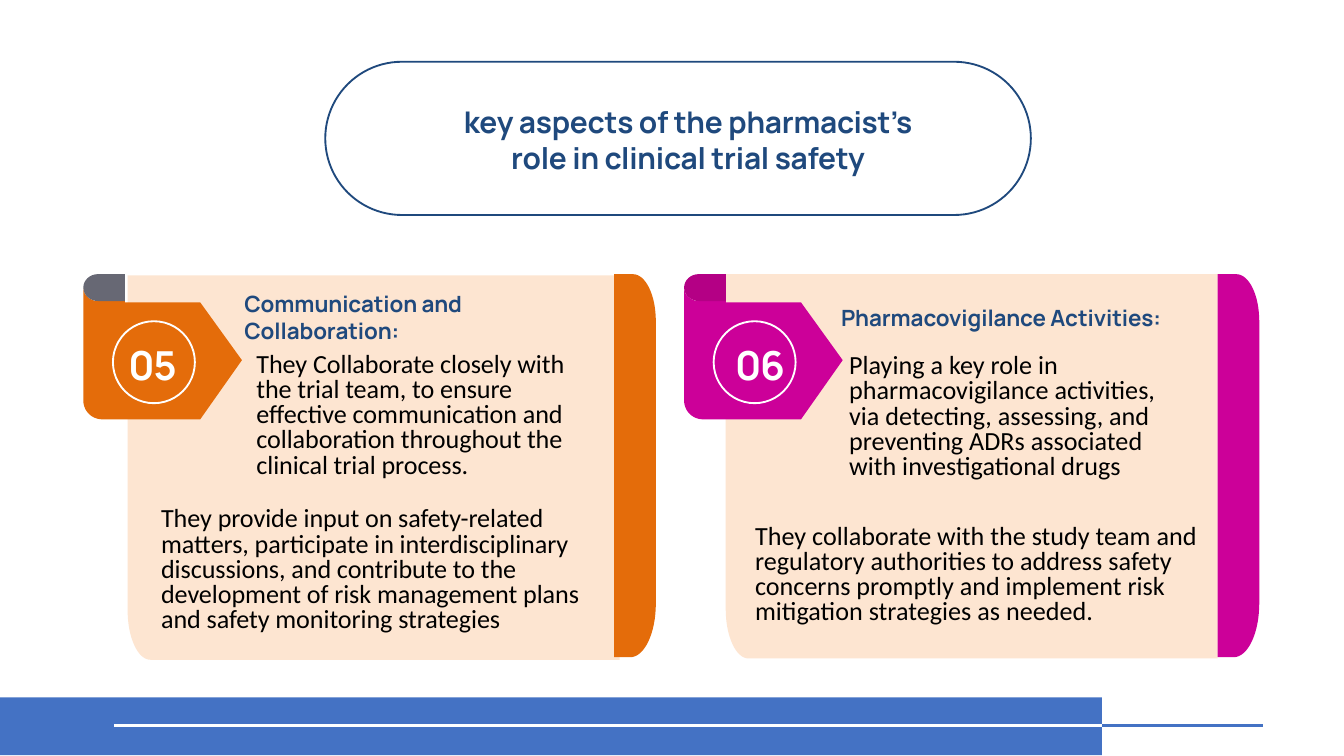
import math

from lxml import etree
from pptx import Presentation
from pptx import util as u
from pptx.dml.color import RGBColor
from pptx.enum import shapes, text
from pptx.oxml.ns import qn

NAVY = "1F497D"
BLUE = "4472C4"
WHITE = "FFFFFF"
PEACH = "FDE5D1"


def color(value):
    return RGBColor.from_string(value)


def paint(shape, fill=None, line=None):
    shape.shadow.inherit = False
    if fill:
        shape.fill.solid()
        shape.fill.fore_color.rgb = color(fill)
    else:
        shape.fill.background()
    if line:
        shape.line.color.rgb = color(line)
        shape.line.width = u.Pt(1)
    else:
        shape.line.fill.background()


def add_preset(slide, kind, box, fill=None, line=None):
    shape = slide.shapes.add_shape(kind, *map(u.Inches, box))
    paint(shape, fill, line)
    return shape


def arc(cx, cy, rx, ry, start, end, steps=16):
    angles = [math.radians(start + (end - start) * i / steps) for i in range(steps + 1)]
    return [(cx + rx * math.cos(a), cy + ry * math.sin(a)) for a in angles]


def add_outline(slide, left, top, points, fill):
    placed = [(u.Inches(left + x), u.Inches(top + y)) for x, y in points]
    builder = slide.shapes.build_freeform(*placed[0])
    builder.add_line_segments(placed[1:], close=True)
    paint(builder.convert_to_shape(), fill)


def add_rule(slide, start, end, y, line):
    rule = slide.shapes.add_connector(
        shapes.MSO_CONNECTOR.STRAIGHT, *map(u.Inches, (start, y, end, y)))
    rule.line.color.rgb = color(line)
    rule.line.width = u.Pt(1.5)
    etree.SubElement(rule._element.spPr, qn("a:effectLst"))


def add_words(slide, box, words, size, ink, font="Manrope", centered=False, tracking=-7):
    frame = slide.shapes.add_textbox(*map(u.Inches, box)).text_frame
    frame.word_wrap = True
    frame.auto_size = text.MSO_AUTO_SIZE.SHAPE_TO_FIT_TEXT
    paragraph = frame.paragraphs[0]
    paragraph.text = words
    paragraph.font.name = font
    paragraph.font.size = u.Pt(size)
    paragraph.font.color.rgb = color(ink)
    paragraph.font._rPr.set("spc", str(tracking))
    if centered:
        paragraph.alignment = text.PP_ALIGN.CENTER
    if font == "Manrope":
        paragraph.font.bold = True
        frame.vertical_anchor = text.MSO_ANCHOR.MIDDLE
    else:
        paragraph.line_spacing = u.Pt(13.5)


def add_footer(slide, left, top, width, height):
    band_width = 8.2
    add_preset(slide, shapes.MSO_SHAPE.RECTANGLE, (left, top, band_width, height), BLUE)
    add_rule(slide, left + 0.85, left + band_width, top + 0.21, WHITE)
    add_rule(slide, left + band_width, left + width - 0.6, top + 0.21, BLUE)


def add_title(slide, left, top, width, height):
    pill = add_preset(slide, shapes.MSO_SHAPE.ROUNDED_RECTANGLE,
                      (left, top, width, height), line=NAVY)
    pill.adjustments[0] = 0.5
    add_words(slide, (left + 0.78, top + 0.26, 3.84, 0.64),
              "key aspects of the pharmacist’s role in clinical trial safety",
              16, NAVY, centered=True, tracking=-10)


def add_card(slide, left, top, card):
    panel_left, panel_top = card["panel"]
    panel = [(3.66, 0), (3.66, 2.86)] + arc(0.17, 2.49, 0.17, 0.37, 90, 180) + [(0, 0)]
    stripe = ([(0, 0)] + arc(0.14, 0.35, 0.17, 0.35, 270, 360)
              + arc(0.12, 2.45, 0.19, 0.4, 0, 90) + [(0, 2.85)])
    tag = (arc(0.11, 0.1, 0.11, 0.1, 180, 90)
           + [(0.31, 0.2), (0.31, 0.21), (0.87, 0.21), (1.18, 0.64), (0.87, 1.08)]
           + arc(0.14, 0.94, 0.14, 0.14, 90, 180))
    fold = arc(0.11, 0.1, 0.11, 0.1, 90, 270) + [(0.31, 0), (0.31, 0.2)]

    add_outline(slide, left + panel_left, top + panel_top, panel, PEACH)
    add_outline(slide, left + card["stripe"], top, stripe, card["accent"])
    add_outline(slide, left, top, tag, card["accent"])
    add_outline(slide, left, top, fold, card["fold"])
    add_preset(slide, shapes.MSO_SHAPE.OVAL, (left + 0.22, top + 0.35, 0.61, 0.61), line=WHITE)

    def place(box):
        x, y, width, height = box
        return left + x, top + y, width, height

    add_words(slide, place(card["number_box"]), card["number"], 21.4, WHITE,
              centered=True, tracking=-60)
    add_words(slide, place(card["heading_box"]), card["heading"], 12, NAVY)
    for box, words in card["details"]:
        add_words(slide, place(box), words, 14, "000000", "Calibri",
                  tracking=card["tracking"])


CARDS = [
    {
        "accent": "E46C0A", "fold": "676874", "tracking": -7,
        "panel": (0.33, 0.01), "stripe": 3.95,
        "number": "05", "number_box": (0.21, 0.44, 0.61, 0.46),
        "heading": "Communication and Collaboration:",
        "heading_box": (1.1, 0.07, 2.73, 0.5),
        "details": [
            ((1.19, 0.54, 2.74, 1.09),
             "They Collaborate closely with the trial team, to ensure effective communication "
             "and collaboration throughout the clinical trial process."),
            ((0.48, 1.69, 3.45, 1.09),
             "They provide input on safety-related matters, participate in interdisciplinary "
             "discussions, and contribute to the development of risk management plans and "
             "safety monitoring strategies"),
        ],
    },
    {
        "accent": "CC0099", "fold": "B40085", "tracking": 0,
        "panel": (0.31, 0), "stripe": 3.97,
        "number": "06", "number_box": (0.22, 0.44, 0.69, 0.46),
        "heading": "Pharmacovigilance Activities:",
        "heading_box": (1.07, 0.17, 2.96, 0.3),
        "details": [
            ((1.13, 0.55, 2.73, 1.09),
             "Playing a key role in pharmacovigilance activities, via detecting, assessing, "
             "and preventing ADRs associated with investigational drugs"),
            ((0.43, 1.82, 3.5, 0.89),
             "They collaborate with the study team and regulatory authorities to address "
             "safety concerns promptly and implement risk mitigation strategies as needed."),
        ],
    },
]


def main():
    deck = Presentation()
    deck.slide_width = u.Inches(10)
    deck.slide_height = deck.slide_width * 9 // 16
    slide = deck.slides.add_slide(deck.slide_layouts[6])
    add_footer(slide, 0, 5.19, 10, 0.43)
    for index, card in enumerate(CARDS):
        add_card(slide, 0.62 + 4.47 * index, 2.04, card)
    add_title(slide, 2.42, 0.46, 5.25, 1.14)
    deck.save("out.pptx")


if __name__ == "__main__":
    main()
